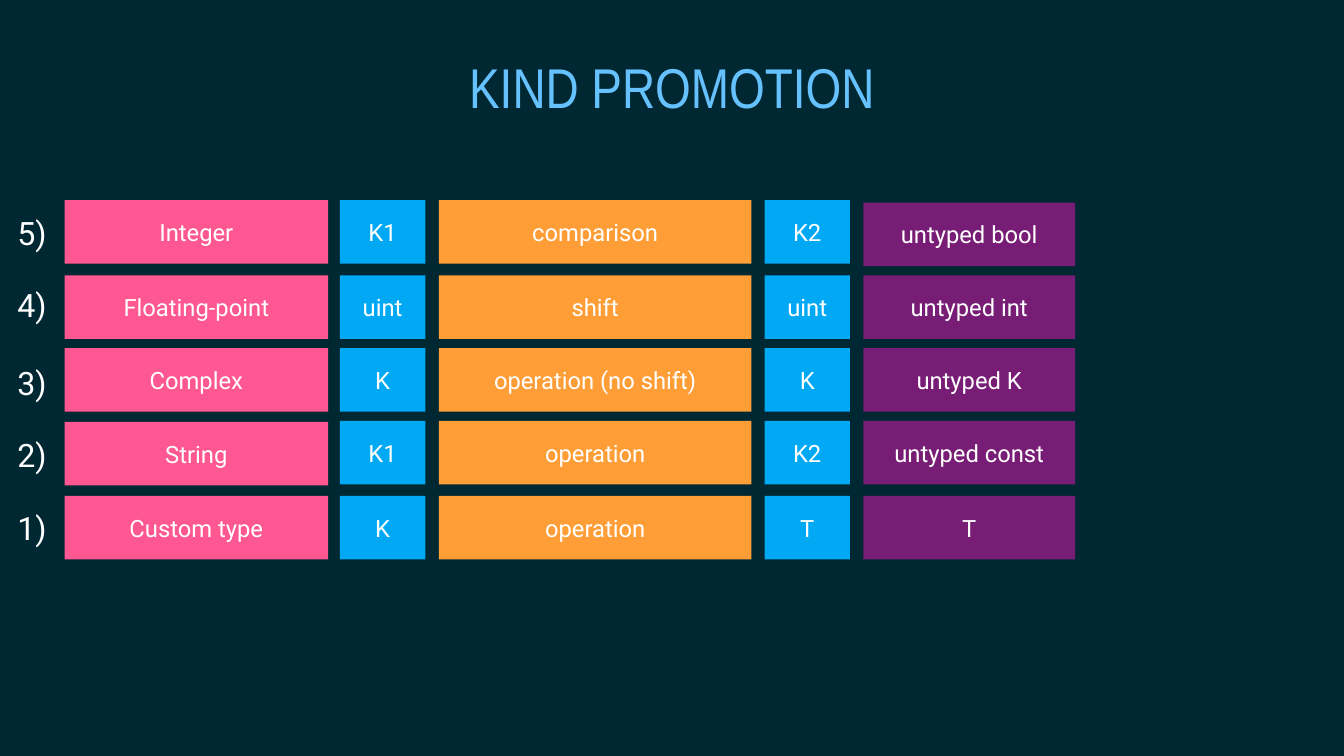
from dataclasses import dataclass

import pptx
import pptx.dml.color
import pptx.enum.shapes
import pptx.enum.text
import pptx.util

Pt = pptx.util.Pt
ALIGN = pptx.enum.text.PP_ALIGN
ANCHOR = pptx.enum.text.MSO_ANCHOR
AUTO_SIZE = pptx.enum.text.MSO_AUTO_SIZE

COLOURS = {
    "background": "002833",
    "title": "66C2FF",
    "text": "FFFFFF",
    "kind": "FF5791",
    "operand": "01A9F4",
    "operation": "FF9D36",
    "result": "771D76",
}
CELL_HEIGHT = 90.7
INSET = 6


@dataclass(frozen=True)
class Column:
    left: float
    width: float
    colour: str


@dataclass(frozen=True)
class Row:
    label: str
    label_top: float
    top: float
    cells: tuple[str, ...]


COLUMNS = (
    Column(92.2, 376.5, "kind"),
    Column(485.6, 122, "operand"),
    Column(627.1, 446.4, "operation"),
    Column(1092.2, 122, "operand"),
    Column(1233.4, 302.4, "result"),
)
ROWS = (
    Row("5)", 295.2, 286, ("Integer", "K1", "comparison", "K2", "untyped bool")),
    Row("4)", 398.2, 393.3, ("Floating-point", "uint", "shift", "uint", "untyped int")),
    Row("3)", 509.8, 497.4, ("Complex", "K", "operation (no shift)", "K", "untyped K")),
    Row("2)", 613.4, 601.2, ("String", "K1", "operation", "K2", "untyped const")),
    Row("1)", 717.1, 708.5, ("Custom type", "K", "operation", "T", "T")),
)
TOP_SHIFTS = {"untyped bool": 3.5, "String": 1.4}


def colour(name: str) -> pptx.dml.color.RGBColor:
    return pptx.dml.color.RGBColor.from_string(COLOURS[name])


def write(shape, text: str, size: float, alignment, anchor=ANCHOR.MIDDLE,
          font_name: str = "Roboto", font_colour: str = "text", wrap: bool = True):
    frame = shape.text_frame
    frame.margin_left = frame.margin_right = Pt(INSET)
    frame.margin_top = frame.margin_bottom = Pt(INSET)
    frame.word_wrap = wrap
    frame.auto_size = AUTO_SIZE.NONE
    frame.vertical_anchor = anchor
    paragraph = frame.paragraphs[0]
    paragraph.text = text
    paragraph.alignment = alignment
    paragraph.font.name = font_name
    paragraph.font.size = Pt(size)
    paragraph.font.color.rgb = colour(font_colour)
    return paragraph


def draw_title(slide, text: str) -> None:
    title = slide.shapes.title
    title.left, title.top, title.width, title.height = Pt(508.3), Pt(87.8), Pt(903.6), Pt(101.5)
    paragraph = write(title, text, 80, ALIGN.CENTER, ANCHOR.TOP, "Arial Narrow", "title")
    paragraph.line_spacing = 0.8


def draw_cell(slide, column: Column, top: float, text: str) -> None:
    shape = slide.shapes.add_shape(
        pptx.enum.shapes.MSO_SHAPE.RECTANGLE,
        Pt(column.left), Pt(top), Pt(column.width), Pt(CELL_HEIGHT))
    shape.shadow.inherit = False
    shape.fill.solid()
    shape.fill.fore_color.rgb = colour(column.colour)
    shape.line.fill.background()
    write(shape, text, 34, ALIGN.CENTER)


def draw_row(slide, row: Row) -> None:
    label = slide.shapes.add_textbox(Pt(18.7), Pt(row.label_top), Pt(67.7), Pt(73.4))
    write(label, row.label, 46, ALIGN.LEFT, wrap=False)
    for column, text in zip(COLUMNS, row.cells):
        draw_cell(slide, column, row.top + TOP_SHIFTS.get(text, 0), text)


def main() -> None:
    presentation = pptx.Presentation()
    presentation.slide_width = Pt(1920)
    presentation.slide_height = Pt(1080)
    slide = presentation.slides.add_slide(presentation.slide_layouts.get_by_name("Title Only"))
    slide.background.fill.solid()
    slide.background.fill.fore_color.rgb = colour("background")
    draw_title(slide, "KIND PROMOTION")
    for row in ROWS:
        draw_row(slide, row)
    presentation.save("out.pptx")


if __name__ == "__main__":
    main()
